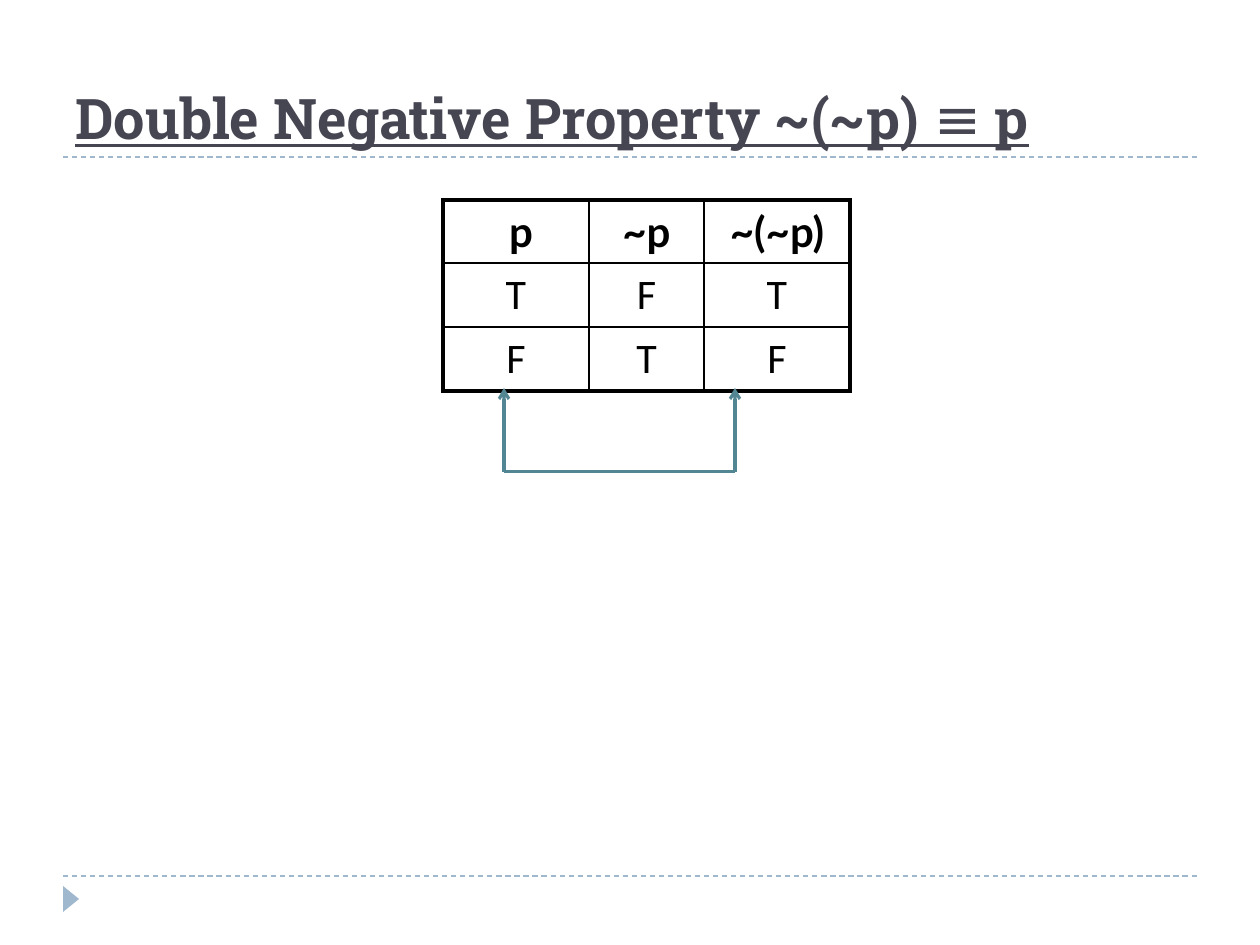
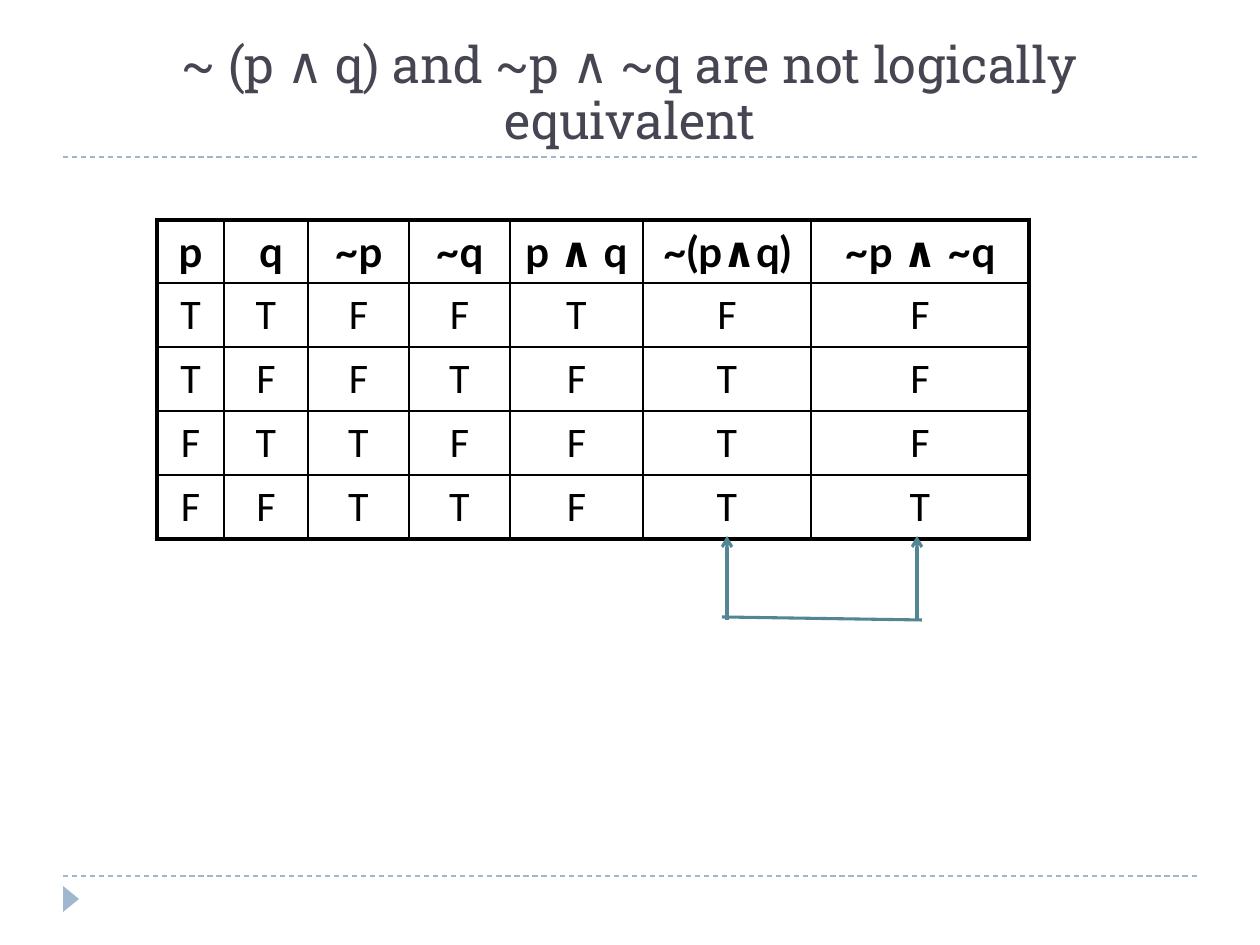
from lxml.etree import SubElement
from pptx import Presentation
from pptx.dml.color import RGBColor
from pptx.enum.dml import MSO_LINE_DASH_STYLE as Dash
from pptx.enum.shapes import MSO_CONNECTOR_TYPE as Link, MSO_SHAPE as Shape
from pptx.enum.text import MSO_ANCHOR as Anchor, PP_ALIGN as Align
from pptx.oxml import parse_xml
from pptx.oxml.ns import nsdecls, qn
from pptx.util import Emu, Pt

SLATE = RGBColor(0x46, 0x46, 0x53)
MIST = RGBColor(0x9F, 0xB8, 0xCD)
TEAL = RGBColor(0x52, 0x86, 0x93)
BLACK = RGBColor(0, 0, 0)

TITLE_FONT, HEAD_FONT, VALUE_FONT = "Roboto Slab", "Lato", "Calibri"
HEAD_H, ROW_H = 63, 64
THIN, THICK = 12700, 28575
LETTER_SHIFT = 10  # extra left margin that nudges a heading to the right


def px(n):
    return Emu(round(n * 914400 / 126))


def add_line(slide, start, end, color, width):
    line = slide.shapes.add_connector(Link.STRAIGHT, *map(px, start + end))
    line.line.color.rgb = color
    line.line.width = Pt(width)
    SubElement(line._element.spPr, qn("a:effectLst"))
    return line


# Per slide: title runs (text, bold), truth table and the bracket below it
SLIDES = [
    dict(
        title=[("Double Negative Property ~(~p) ", True), ("≡", False), (" p", True)],
        size=32, underline=True, align=Align.LEFT, spacing=1.0,
        table_at=(443, 200), columns=[146, 115, 146], shifted=0,
        rows=["p|~p|~(~p)", "T|F|T", "F|T|F"],
        base=((504, 472), (735, 472)),
        arrows=[((504, 472), (504, 388)), ((735, 472), (735, 388))],
    ),
    dict(
        title=[("~ (p ∧ q) and ~p ∧ ~q are not logically equivalent", False)],
        size=28.8, underline=False, align=Align.CENTER, spacing=0.93,
        table_at=(157, 220), columns=[67, 84, 101, 101, 133, 168, 218], shifted=1,
        rows=["p|q|~p|~q|p ∧ q|~(p∧q)|~p ∧ ~q",
              "T|T|F|F|T|F|F", "T|F|F|T|F|T|F",
              "F|T|T|F|F|T|F", "F|F|T|T|F|T|T"],
        base=((722, 617), (922, 620)),
        arrows=[((727, 620), (727, 536)), ((917, 619), (917, 536))],
    ),
]

prs = Presentation()
prs.slide_width, prs.slide_height = px(1260), px(945)

for content in SLIDES:
    slide = prs.slides.add_slide(prs.slide_layouts[6])

    # Dashed rules and footer marker
    for y in (876, 157):
        rule = add_line(slide, (63, y), (1197, y), MIST, 0.75)
        rule.line.dash_style = Dash.DASH
    marker = slide.shapes.add_shape(Shape.ISOSCELES_TRIANGLE, px(58), px(891), px(26), px(16))
    marker.rotation = 90
    marker.shadow.inherit = False
    marker.fill.solid()
    marker.fill.fore_color.rgb = MIST
    marker.line.fill.background()

    # Title
    title = slide.shapes.add_textbox(px(63), px(21), px(1134), px(136)).text_frame
    title.word_wrap = True
    title.vertical_anchor = Anchor.BOTTOM
    heading = title.paragraphs[0]
    heading.alignment = content["align"]
    heading.line_spacing = content["spacing"]
    for text, bold in content["title"]:
        run = heading.add_run()
        run.text = text
        run.font.name, run.font.size = TITLE_FONT, Pt(content["size"])
        run.font.bold, run.font.underline = bold, content["underline"]
        run.font.color.rgb = SLATE

    # Truth table
    columns, rows = content["columns"], content["rows"]
    left, top = content["table_at"]
    height = HEAD_H + ROW_H * (len(rows) - 1)
    truth = slide.shapes.add_table(len(rows), len(columns), px(left), px(top),
                                   px(sum(columns)), px(height)).table
    truth.first_row = truth.horz_banding = False
    for column, width in zip(truth.columns, columns):
        column.width = px(width)
    for r, row in enumerate(rows):
        truth.rows[r].height = px(ROW_H if r else HEAD_H)
        for c, value in enumerate(row.split("|")):
            cell = truth.cell(r, c)
            cell.fill.background()
            cell.margin_left = cell.margin_right = px(9)
            if r == 0 and c == content["shifted"]:
                cell.margin_left = px(9 + LETTER_SHIFT)
            entry = cell.text_frame.paragraphs[0]
            entry.alignment = Align.CENTER
            entry.space_after = Pt(10)
            run = entry.add_run()
            run.text = value
            run.font.name = VALUE_FONT if r else HEAD_FONT
            run.font.size, run.font.bold = Pt(24), r == 0
            run.font.color.rgb = BLACK

            # Thick outer frame, thin inner grid
            outer = {"L": c == 0, "R": c == len(columns) - 1,
                     "T": r == 0, "B": r == len(rows) - 1}
            for i, (side, is_outer) in enumerate(outer.items()):
                border = parse_xml(
                    f'<a:ln{side} {nsdecls("a")} w="{THICK if is_outer else THIN}">'
                    f'<a:solidFill><a:srgbClr val="{BLACK}"/></a:solidFill></a:ln{side}>')
                cell._tc.get_or_add_tcPr().insert(i, border)

    # Bracket joining the two compared columns
    add_line(slide, *content["base"], TEAL, 1.75)
    for start, tip in content["arrows"]:
        arrow = add_line(slide, start, tip, TEAL, 1.75)
        SubElement(arrow.line._get_or_add_ln(), qn("a:tailEnd"), type="arrow")

prs.save("out.pptx")
